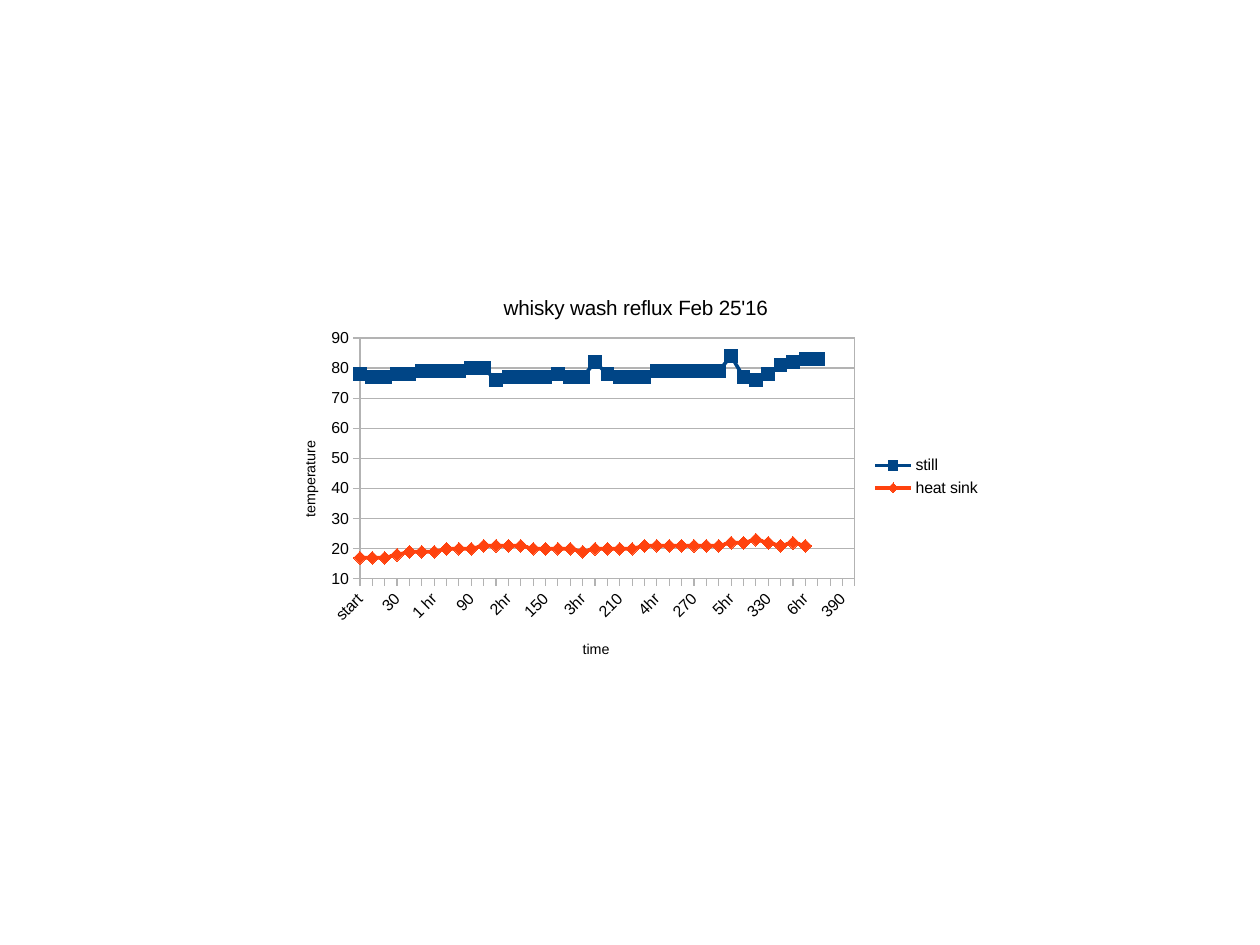
"""Build a slide with a line chart of still and heat sink temperatures over time."""
from collections import namedtuple

from lxml.etree import SubElement
from pptx import Presentation
from pptx.chart.data import CategoryChartData
from pptx.dml.color import RGBColor as Color
from pptx.enum.chart import XL_CHART_TYPE as ChartType
from pptx.enum.chart import XL_LEGEND_POSITION as LegendPosition
from pptx.enum.chart import XL_MARKER_STYLE as Marker
from pptx.enum.chart import XL_TICK_LABEL_POSITION as LabelPosition
from pptx.enum.chart import XL_TICK_MARK as TickMark
from pptx.oxml import parse_xml
from pptx.oxml.ns import nsdecls, qn
from pptx.util import Pt

Theme = namedtuple("Theme", "font text grid still heat_sink title axis_title label")
THEME = Theme("Arial", "000000", "B3B3B3", "004586", "FF420E", 13, 9, 10)
PX = 8000
CHART_WIDTH, CHART_HEIGHT = 720, 405


def place(element, index, **lengths):
    """Give a chart part a manual layout in px, measured from the chart's corner."""
    for old_layout in element.findall(qn("c:layout")):
        element.remove(old_layout)
    layout = parse_xml(f"<c:layout {nsdecls('c')}/>")
    element.insert(index, layout)
    manual = SubElement(layout, qn("c:manualLayout"))
    if "w" in lengths:
        SubElement(manual, qn("c:layoutTarget")).set("val", "inner")
    for mode in ("xMode", "yMode"):
        SubElement(manual, qn(f"c:{mode}")).set("val", "edge")
    for name, length in lengths.items():
        whole = CHART_WIDTH if name in "xw" else CHART_HEIGHT
        SubElement(manual, qn(f"c:{name}")).set("val", f"{length / whole:.4f}")


def write_title(title, text, *, size, left, top, rotation=0):
    """Write a chart or axis title and set its format, place and rotation."""
    frame = title.text_frame
    frame.text = text
    font = frame.paragraphs[0].runs[0].font
    font.name, font.size, font.bold = THEME.font, Pt(size), False
    font.color.rgb = Color.from_string(THEME.text)
    body = title._element.find(".//" + qn("a:bodyPr"))
    body.set("rot", str(rotation * 60000))
    body.set("vert", "horz")
    place(title._element, 1, x=left, y=top)


presentation = Presentation()
presentation.slide_width = 1260 * PX
presentation.slide_height = 945 * PX
slide = presentation.slides.add_slide(presentation.slide_layouts[6])

hour_labels = {0: "start", 60: "1 hr"}
times = [
    hour_labels.get(minute, str(minute) if minute % 60 else f"{minute // 60}hr")
    for minute in range(0, 401, 10)
]
still = [78, 77, 77, 78, 78, 79, 79, 79, 79, 80, 80, 76, 77, 77, 77, 77, 78, 77, 77,
         82, 78, 77, 77, 77, 79, 79, 79, 79, 79, 79, 84, 77, 76, 78, 81, 82, 83, 83]
heat_sink = [17, 17, 17, 18, 19, 19, 19, 20, 20, 20, 21, 21, 21, 21, 20, 20, 20, 20, 19,
             20, 20, 20, 20, 21, 21, 21, 21, 21, 21, 21, 22, 22, 23, 22, 21, 22, 21]

chart_data = CategoryChartData()
chart_data.categories = times
for name, values in (("still", still), ("heat sink", heat_sink)):
    chart_data.add_series(name, values + [None] * (len(times) - len(values)))

chart = slide.shapes.add_chart(
    ChartType.LINE_MARKERS, 272 * PX, 272 * PX, CHART_WIDTH * PX, CHART_HEIGHT * PX, chart_data
).chart
chart.font.name = THEME.font
chart.font.size = Pt(THEME.label)
chart.font.color.rgb = Color.from_string(THEME.text)

styles = ((Marker.SQUARE, THEME.still), (Marker.DIAMOND, THEME.heat_sink))
for series, (marker_style, color) in zip(chart.plots[0].series, styles):
    series.smooth = False
    series.format.line.width = Pt(2.27)
    series.format.line.color.rgb = Color.from_string(color)
    series.marker.style = marker_style
    series.marker.size = 8
    series.marker.format.fill.solid()
    series.marker.format.fill.fore_color.rgb = Color.from_string(color)
    series.marker.format.line.color.rgb = Color.from_string(color)
chart.plots[0].vary_by_categories = False

time_axis, temperature_axis = chart.category_axis, chart.value_axis
temperature_axis.minimum_scale = 10
temperature_axis.maximum_scale = 90
temperature_axis.major_unit = 10
temperature_axis.has_major_gridlines = True
time_axis.has_major_gridlines = False
for axis in (time_axis, temperature_axis):
    axis.major_tick_mark = TickMark.OUTSIDE
    axis.minor_tick_mark = TickMark.NONE
    axis.tick_label_position = LabelPosition.LOW
    font = axis.tick_labels.font
    font.name, font.size = THEME.font, Pt(THEME.label)
    font.color.rgb = Color.from_string(THEME.text)
for part in (time_axis, temperature_axis, temperature_axis.major_gridlines):
    part.format.line.width = Pt(0)
    part.format.line.color.rgb = Color.from_string(THEME.grid)

time_element = time_axis._element
time_element.find(qn("c:txPr")).find(qn("a:bodyPr")).set("rot", str(-45 * 60000))
for tag, step in (("tickLblSkip", 3), ("tickMarkSkip", 1)):
    skip = parse_xml(f'<c:{tag} {nsdecls("c")} val="{step}"/>')
    time_element.find(qn("c:noMultiLvlLbl")).addprevious(skip)

temperature_element = temperature_axis._element
for old_crossing in temperature_element.findall(qn("c:crossBetween")):
    temperature_element.remove(old_crossing)
crossing = parse_xml(f'<c:crossBetween {nsdecls("c")} val="midCat"/>')
temperature_element.find(qn("c:crosses")).addnext(crossing)

plot_area = time_element.getparent()
place(plot_area, 0, x=88, y=66, w=495, h=241)
plot_area.append(parse_xml(
    f'<c:spPr {nsdecls("c", "a")}><a:noFill/><a:ln w="0"><a:solidFill>'
    f'<a:srgbClr val="{THEME.grid}"/></a:solidFill></a:ln></c:spPr>'
))

chart.has_legend = True
chart.legend.position = LegendPosition.RIGHT
chart.legend.include_in_layout = False
chart.legend.font.name = THEME.font
chart.legend.font.size = Pt(THEME.label)
chart.legend.font.color.rgb = Color.from_string(THEME.text)
place(chart.legend._element, 1, x=598, y=180)

chart.has_title = True
write_title(chart.chart_title, "whisky wash reflux Feb 25'16", size=THEME.title, left=228, top=19)
write_title(time_axis.axis_title, "time", size=THEME.axis_title, left=308, top=365)
write_title(temperature_axis.axis_title, "temperature", size=THEME.axis_title,
            left=26, top=166, rotation=-90)

presentation.save("out.pptx")
